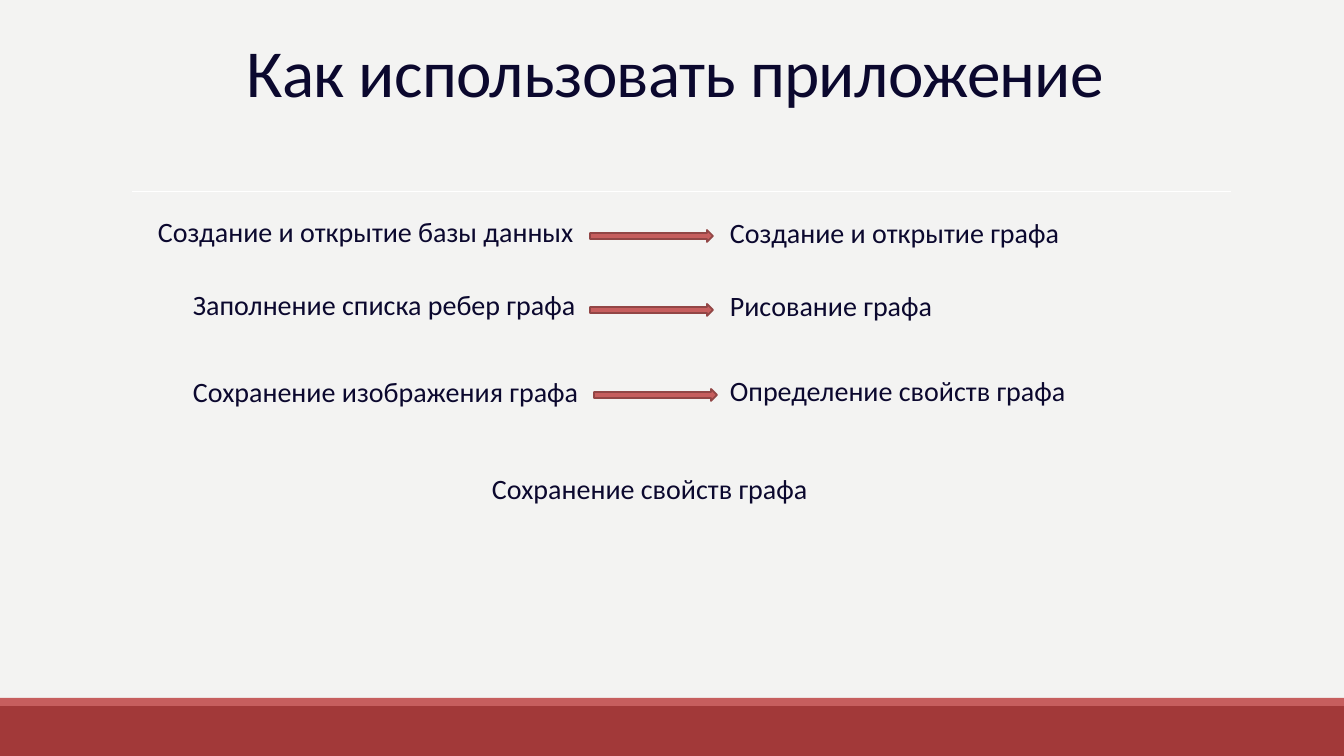
from pptx import Presentation
from pptx.dml.color import RGBColor
from pptx.enum.shapes import MSO_CONNECTOR, MSO_SHAPE
from pptx.enum.text import MSO_ANCHOR, MSO_AUTO_SIZE, PP_ALIGN
from pptx.oxml.ns import qn
from pptx.util import Emu, Pt
from lxml import etree

RECTANGLE, ARROW = MSO_SHAPE.RECTANGLE, MSO_SHAPE.RIGHT_ARROW
STRAIGHT = MSO_CONNECTOR.STRAIGHT
LEFT, CENTER = PP_ALIGN.LEFT, PP_ALIGN.CENTER
TOP, BOTTOM = MSO_ANCHOR.TOP, MSO_ANCHOR.BOTTOM
FIT_SHAPE, FIXED = MSO_AUTO_SIZE.SHAPE_TO_FIT_TEXT, MSO_AUTO_SIZE.NONE

WIDTH, HEIGHT = 1344, 756
EMU_PER_PIXEL = 914400 / 100.8


def px(*lengths):
    return [Emu(round(length * EMU_PER_PIXEL)) for length in lengths]


def color(code):
    return RGBColor.from_string(code)


class Board:
    font, ink = "Calibri", "0B082E"
    paper, red, dark_red, outline = "F3F3F2", "C65E5E", "A23939", "924646"

    def __init__(self, slide):
        self.slide = slide
        slide.background.fill.solid()
        slide.background.fill.fore_color.rgb = color(self.paper)

    def shape(self, kind, box, fill, line=None):
        item = self.slide.shapes.add_shape(kind, *px(*box))
        item.shadow.inherit = False
        item.fill.solid()
        item.fill.fore_color.rgb = color(fill)
        if line:
            item.line.color.rgb = color(line)
            item.line.width = Pt(1.25)
        else:
            item.line.fill.background()

    def rule(self, start, end, line):
        item = self.slide.shapes.add_connector(STRAIGHT, *px(*start, *end))
        item.line.color.rgb = color(line)
        item.line.width = Pt(0.5)
        etree.SubElement(item._element.spPr, qn("a:effectLst"))

    def text(self, words, box, size=20, align=LEFT, anchor=TOP, wrap=False,
             fit=FIT_SHAPE, line_spacing=None, tracking=None):
        frame = self.slide.shapes.add_textbox(*px(*box)).text_frame
        frame.text = words
        frame.word_wrap = wrap
        frame.auto_size = fit
        frame.vertical_anchor = anchor
        paragraph = frame.paragraphs[0]
        paragraph.alignment = align
        paragraph.line_spacing = line_spacing
        run = paragraph.runs[0]
        run.font.name = self.font
        run.font.size = Pt(size)
        run.font.color.rgb = color(self.ink)
        if tracking:
            run._r.get_or_add_rPr().set("spc", str(round(tracking * 100)))


deck = Presentation()
deck.slide_width, deck.slide_height = px(WIDTH, HEIGHT)
board = Board(deck.slides.add_slide(deck.slide_layouts[6]))

# Footer bands and the rule under the title
board.shape(RECTANGLE, (0, 706, WIDTH, 50), board.dark_red)
board.shape(RECTANGLE, (0, 698, WIDTH, 8), board.red)
board.rule((132, 191), (1231, 191), "FFFFFF")

# Title
board.text("Как использовать приложение", (121, 31, 1109, 85), size=48,
           align=CENTER, anchor=BOTTOM, wrap=True, fit=FIXED,
           line_spacing=0.85, tracking=-0.5)

# Steps: each row leads from an action on the left to one on the right
LINE_HEIGHT, RESULT_LEFT = 44, 720
steps = [
    ("Создание и открытие базы данных", (148, 210, 459), True, (590, 230),
     "Создание и открытие графа", (211, 353)),
    ("Заполнение списка ребер графа", (183, 283, 406), False, (590, 304),
     "Рисование графа", (284, 225)),
    ("Сохранение изображения графа", (183, 370, 409), False, (594, 389),
     "Определение свойств графа", (369, 359)),
]
for action, action_box, wrap, arrow_corner, result, (result_top, result_width) in steps:
    board.text(action, (*action_box, LINE_HEIGHT), wrap=wrap)
    board.text(result, (RESULT_LEFT, result_top, result_width, LINE_HEIGHT))
    board.shape(ARROW, (*arrow_corner, 123, 12), board.red, board.outline)

# Final step
board.text("Сохранение свойств графа", (482, 467, 339, LINE_HEIGHT))

deck.save("out.pptx")
